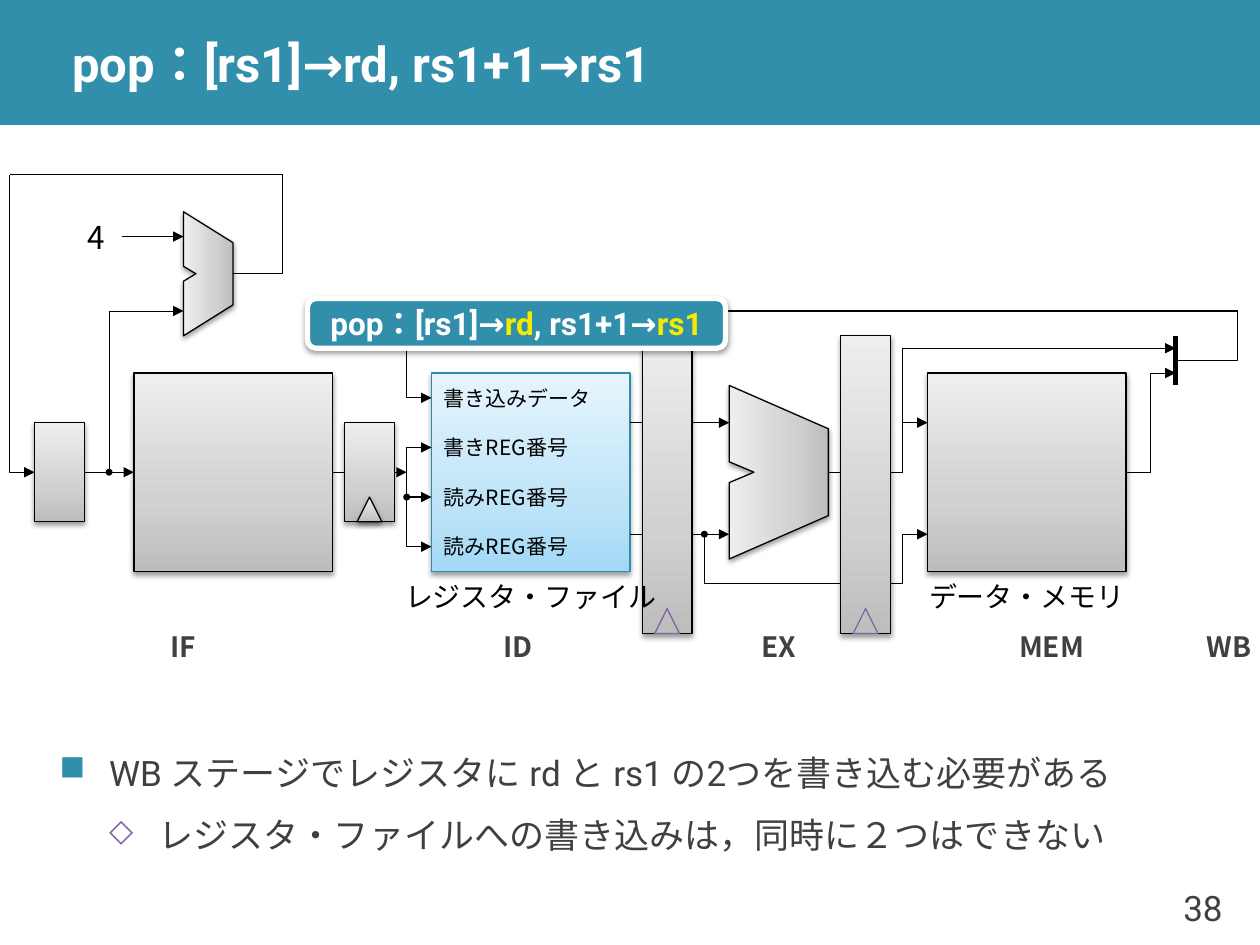
from lxml import etree
from pptx import Presentation
from pptx.dml.color import RGBColor
from pptx.enum.lang import MSO_LANGUAGE_ID
from pptx.enum.shapes import MSO_CONNECTOR, MSO_SHAPE
from pptx.enum.text import MSO_ANCHOR, PP_ALIGN
from pptx.oxml.ns import qn
from pptx.util import Cm, Pt

RECT, ROUND = MSO_SHAPE.RECTANGLE, MSO_SHAPE.ROUNDED_RECTANGLE
PEAK = MSO_SHAPE.ISOSCELES_TRIANGLE
LINE = MSO_CONNECTOR.STRAIGHT
LEFT, MID, RIGHT = PP_ALIGN.LEFT, PP_ALIGN.CENTER, PP_ALIGN.RIGHT
CENTRE = MSO_ANCHOR.MIDDLE
JA = MSO_LANGUAGE_ID.JAPANESE
SANS, CJK = "Roboto", "Noto Sans CJK JP"
HUE = {"teal": "328FAC", "edge": "2E8DAB", "text": "404040", "black": "000000",
       "white": "FFFFFF", "mark": "F4EB00", "violet": "8064A2"}
GREY = ("BDBDBD", "D1D1D1", "EEEEEE")
BLUE = ("A2D9F7", "BFE4F8", "E6F5FD")


def rgb(name):
    return RGBColor.from_string(HUE[name])


def add(node, tag, **attrs):
    return etree.SubElement(node, qn("a:" + tag), attrs)


def style(run, size, hue, face=CJK, bold=False):
    font = run.font
    font.size, font.bold, font.name = Pt(size), bold, face
    font.color.rgb = rgb(hue)
    font.language_id = JA
    add(run._r.get_or_add_rPr(), "ea", typeface=face)


def label(slide, box, text, size, hue="black", face=CJK, bold=False,
          align=MID, pad=0, wrap=False):
    frame = slide.shapes.add_textbox(*map(Cm, box)).text_frame
    frame.word_wrap, frame.vertical_anchor = wrap, CENTRE
    frame.margin_left = frame.margin_right = Cm(pad)
    frame.margin_top = frame.margin_bottom = 0
    frame.text = text
    para = frame.paragraphs[0]
    para.alignment = align
    style(para.runs[0], size, hue, face, bold)


def shade(shape, tones=None, edge="black", turn=270, width=0.75):
    shape.line.color.rgb, shape.line.width = rgb(edge), Pt(width)
    if tones:
        shape.fill.gradient()
        fill = shape._element.spPr.find(qn("a:gradFill"))
        for node in list(fill):
            fill.remove(node)
        stops = add(fill, "gsLst")
        for pos, tone in zip((0, 35, 100), tones):
            stop = add(stops, "gs", pos=str(pos * 1000))
            add(stop, "srgbClr", val=tone)
        add(fill, "lin", ang=str(turn * 60000), scaled="0")
    shape.shadow.inherit = False
    glow = add(shape._element.spPr.find(qn("a:effectLst")), "outerShdw",
               blurRad=str(Pt(3.1)), dist=str(Pt(1.6)), dir="5400000",
               algn="ctr", rotWithShape="0")
    add(add(glow, "srgbClr", val=HUE["black"]), "alpha", val="38000")


def header(slide, box, text):
    x, y, w, h = box
    bar = slide.shapes.add_shape(RECT, *map(Cm, box))
    bar.fill.solid()
    bar.fill.fore_color.rgb = rgb("teal")
    bar.line.fill.background()
    bar.shadow.inherit = False
    label(slide, (x + 1.2, y, w - 1.2, h), text, 28, "white", SANS, True,
          LEFT, 0.26, True)


def body(slide, box, items):
    frame = slide.shapes.add_textbox(*map(Cm, box)).text_frame
    frame.word_wrap, frame.vertical_anchor = True, CENTRE
    frame.text = "\n".join(item[0] for item in items)
    for level, (para, item) in enumerate(zip(frame.paragraphs, items)):
        text, sign, hue, scale, before, after = item
        para.level, para.line_spacing = level, 1.1
        para.space_before, para.space_after = Pt(before), Pt(after)
        props = para._p.get_or_add_pPr()
        props.set("marL", str(Cm(level + 1)))
        props.set("indent", str(Cm(-1)))
        add(add(props, "buClr"), "srgbClr", val=HUE[hue])
        add(props, "buSzPct", val=str(scale * 1000))
        add(props, "buChar", char=sign)
        style(para.runs[0], 20, "text", SANS)


def datapath(slide, box):
    left, top, width, _ = box
    unit = width / 49.5
    shapes = slide.shapes

    def spot(x, y):
        return Cm(left + x * unit), Cm(top + y * unit)

    def area(x, y, w, h):
        return left + x * unit, top + y * unit, w * unit, h * unit

    def trace(points, close):
        dots = [spot(*point) for point in points]
        pen = shapes.build_freeform(*dots[0])
        pen.add_line_segments(dots[1:], close=close)
        return pen.convert_to_shape()

    def block(x, y, w, h, tones=GREY, edge="black", kind=RECT):
        shape = shapes.add_shape(kind, *map(Cm, area(x, y, w, h)))
        shade(shape, tones, edge)

    def clock(x, y):
        peak = shapes.add_shape(PEAK, *map(Cm, area(x, y, 1, 1)))
        peak.fill.background()
        peak.line.color.rgb, peak.line.width = rgb("violet"), Pt(0.75)
        peak.shadow.inherit = False

    def alu(x, y, w, h):
        cut, gap, mid = h / 4, h * 0.06, y + h / 2
        shade(trace([(x, y), (x + w, y + cut), (x + w, y + h - cut),
                     (x, y + h), (x, mid + gap), (x + w / 4, mid),
                     (x, mid - gap)], True), GREY, turn=180)

    def wire(points, head="", tail="", width=0.75):
        if len(points) == 2:
            item = shapes.add_connector(LINE, *spot(*points[0]), *spot(*points[1]))
            item.line.width = Pt(width)
            add(item._element.spPr, "effectLst")
        else:
            item = trace(points, False)
            item.fill.background()
            item.shadow.inherit = False
            item.line.width = Pt(0.5)
        item.line.color.rgb = rgb("black")
        line = item._element.spPr.find(qn("a:ln"))
        if head:
            add(line, "headEnd", type=head, w="sm", len="sm")
        if tail:
            add(line, "tailEnd", type=tail)

    block(5, 8, 8, 8)
    block(17, 8, 8, 8, BLUE, "edge")
    block(37, 8, 8, 8)
    block(1, 10, 2, 4)
    alu(29, 8.5, 4, 7)
    alu(7, 1.5, 2, 5)

    for points in ([(9, 4), (11, 4), (11, 0)], [(0, 0), (11, 0)],
                   [(45, 12), (46, 12)], [(33, 12), (36, 12)],
                   [(49.5, 5.5), (16, 5.5)],
                   [(47, 7.5), (49.5, 7.5), (49.5, 5.5)]):
        wire(points)
    for points in ([(3, 12), (5, 12)], [(4.5, 2.5), (7, 2.5)],
                   [(0, 0), (0, 12), (1, 12)], [(13, 12), (16, 12)],
                   [(16, 15), (16, 11), (17, 11)], [(16, 15), (17, 15)],
                   [(16, 5.5), (16, 9), (17, 9)],
                   [(46, 12), (46, 8), (47, 8)],
                   [(25, 10), (29, 10)], [(25, 14.5), (29, 14.5)],
                   [(36, 16.5), (36, 14.5), (37, 14.5)],
                   [(36, 12), (36, 10), (37, 10)],
                   [(36, 10), (36, 7), (47, 7)]):
        wire(points, tail="triangle")
    wire([(4, 12), (4, 5.5), (7, 5.5)], "oval", "triangle")
    wire([(16, 13), (17, 13)], "oval", "triangle")
    wire([(28, 14.5), (28, 16.5), (36, 16.5)], "oval")
    wire([(47, 6.5), (47, 8.5)], width=3)

    block(13.5, 10, 2, 4)
    block(14, 13, 1, 1, kind=PEAK)
    for x in (25.5, 33.5):
        block(x, 6.5, 2, 12)
        clock(x + 0.5, 17.5)

    label(slide, area(2.5, 1.5, 2, 2), "4", 18)
    for x, w, text in ((3, 8, "IF"), (16.5, 8, "ID"), (27, 8, "EX"),
                       (38, 8, "MEM"), (47.65, 3, "WB")):
        label(slide, area(x, 18, w, 2), text, 16, "text", bold=True)
    for x, w, text in ((15.5, 11, "レジスタ・ファイル"), (37, 8, "データ・メモリ")):
        label(slide, area(x, 16, w, 2), text, 16)
    ports = ("書き込みデータ", "書きREG番号", "読みREG番号", "読みREG番号")
    for row, text in enumerate(ports):
        label(slide, area(17, 8 + 2 * row, 8, 2), text, 12, align=LEFT, pad=0.25)
    badge(slide, area(12, 5, 16.85, 2))


def badge(slide, box):
    chip = slide.shapes.add_shape(ROUND, *map(Cm, box))
    chip.fill.solid()
    chip.fill.fore_color.rgb = rgb("teal")
    shade(chip, edge="white", width=3)
    frame = chip.text_frame
    frame.word_wrap, frame.vertical_anchor = False, CENTRE
    para = frame.paragraphs[0]
    para.alignment = MID
    for text, hue in (("pop：[rs1]→", "white"), ("rd", "mark"),
                      (", rs1+1→", "white"), ("rs1", "mark")):
        run = para.add_run()
        run.text = text
        style(run, 18, hue, SANS, True)


def main():
    deck = Presentation()
    deck.slide_width, deck.slide_height = Cm(25.4), Cm(19.05)
    slide = deck.slides.add_slide(deck.slide_layouts[6])
    header(slide, (0, 0, 25.4, 2.52), "pop：[rs1]→rd, rs1+1→rs1")
    label(slide, (23.2, 17.53, 1.7, 1.52), "38", 20, "text", SANS,
          align=RIGHT, pad=0.25)
    body(slide, (0.95, 15.53, 23.75, 1.25), (
        ("WB ステージでレジスタに rd と rs1 の2つを書き込む必要がある",
         "■", "teal", 100, 24, 6),
        ("レジスタ・ファイルへの書き込みは，同時に２つはできない",
         "◇", "violet", 90, 3, 3)))
    datapath(slide, (0.2, 3.52, 24.75, 10))
    deck.save("out.pptx")


if __name__ == "__main__":
    main()
